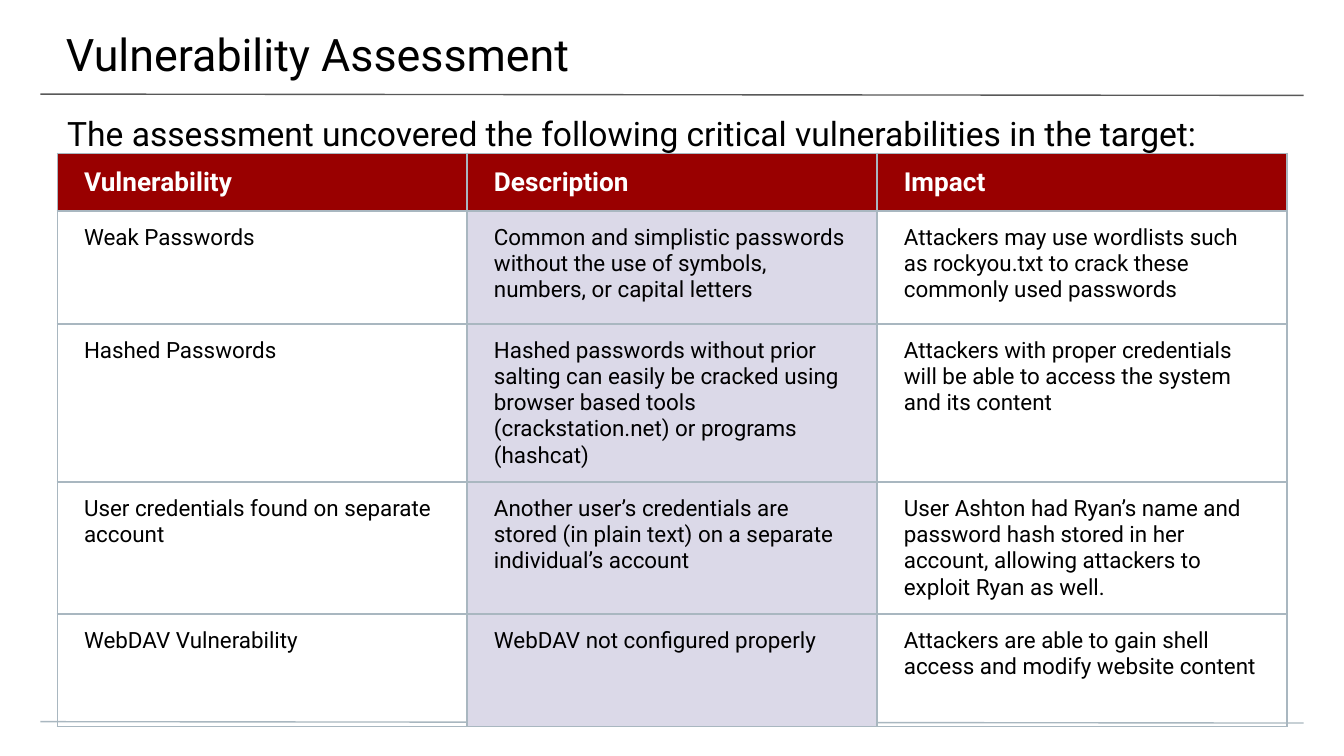
"""Build the vulnerability assessment slide."""
from dataclasses import dataclass

from lxml.etree import SubElement
from pptx import Presentation
from pptx.dml.color import RGBColor as Rgb
from pptx.enum.shapes import MSO_CONNECTOR as Link
from pptx.enum.text import MSO_ANCHOR as Anchor, MSO_AUTO_SIZE as Fit, PP_ALIGN as Align
from pptx.oxml import parse_xml
from pptx.oxml.ns import nsdecls, qn
from pptx.util import Pt


@dataclass(frozen=True)
class Theme:
    font: str = "Roboto"
    ink: str = "000000"
    pale: str = "FFFFFF"
    head: str = "990000"
    tint: str = "DBD9E8"
    rule: str = "595959"
    grid: str = "A9B7C0"
    title: int = 24
    lead: int = 18
    label: int = 14
    body: int = 12
    line: float = 0.75


THEME = Theme()
SCALE = 4572
PAD = (40, 20, 40, 20)
COL = 610
ROWS = [86, 168, 168, 168, 168]
DATA = [
    ("Vulnerability", "Description", "Impact"),
    ("Weak Passwords",
     "Common and simplistic passwords without the use of symbols, numbers, or capital letters",
     "Attackers may use wordlists such as rockyou.txt to crack these commonly used passwords"),
    ("Hashed Passwords",
     "Hashed passwords without prior salting can easily be cracked using browser based tools "
     "(crackstation.net) or programs (hashcat)",
     "Attackers with proper credentials will be able to access the system and its content"),
    ("User credentials found on separate account",
     "Another user’s credentials are stored (in plain text) on a separate individual’s account",
     "User Ashton had Ryan’s name and password hash stored in her account, "
     "allowing attackers to exploit Ryan as well."),
    ("WebDAV Vulnerability",
     "WebDAV not configured properly",
     "Attackers are able to gain shell access and modify website content"),
]


def px(*vals):
    return [val * SCALE for val in vals]


def style(para, size, color, bold=False):
    para.alignment = Align.LEFT
    para.space_before = Pt(0)
    font = para.font
    font.name, font.size, font.bold = THEME.font, Pt(size), bold
    font.color.rgb = Rgb.from_string(color)


def inset(item, pad):
    (item.margin_left, item.margin_top,
     item.margin_right, item.margin_bottom) = px(*pad)


def fill_text(shape, text, box, pad, size):
    shape.left, shape.top, shape.width, shape.height = px(*box)
    frame = shape.text_frame
    frame.text = text
    frame.word_wrap, frame.auto_size = True, Fit.NONE
    frame.vertical_anchor = Anchor.TOP
    inset(frame, pad)
    style(frame.paragraphs[0], size, THEME.ink)


def add_rule(slide, top, color):
    rule = slide.shapes.add_connector(Link.STRAIGHT, *px(60, top, 1940, top + 2))
    rule.line.width = Pt(THEME.line)
    rule.line.color.rgb = Rgb.from_string(color)
    SubElement(rule.element.spPr, qn("a:effectLst"))


def add_edges(cell):
    props = cell._tc.get_or_add_tcPr()
    for side in ("lnL", "lnR", "lnT", "lnB"):
        props.append(parse_xml(
            f'<a:{side} {nsdecls("a")} w="{Pt(THEME.line)}"><a:solidFill>'
            f'<a:srgbClr val="{THEME.grid}"/></a:solidFill></a:{side}>'))


def fill_cell(cell, text, head, color):
    cell.text = text
    inset(cell, PAD)
    cell.vertical_anchor = Anchor.MIDDLE if head else Anchor.TOP
    size, ink = (THEME.label, THEME.pale) if head else (THEME.body, THEME.ink)
    style(cell.text_frame.paragraphs[0], size, ink, head)
    add_edges(cell)
    if color:
        cell.fill.solid()
        cell.fill.fore_color.rgb = Rgb.from_string(color)
    else:
        cell.fill.background()


def add_grid(slide):
    count = len(DATA[0])
    frame = slide.shapes.add_table(
        len(DATA), count, *px(85, 228, COL * count, sum(ROWS)))
    table = frame.table
    table.horz_banding = False
    for col in table.columns:
        col.width = COL * SCALE
    for i, texts in enumerate(DATA):
        table.rows[i].height = ROWS[i] * SCALE
        for j, text in enumerate(texts):
            color = THEME.head if i == 0 else THEME.tint if j == 1 else None
            fill_cell(table.cell(i, j), text, i == 0, color)


def main():
    deck = Presentation()
    deck.slide_width, deck.slide_height = px(2000, 1125)
    slide = deck.slides.add_slide(deck.slide_layouts[0])
    add_rule(slide, 140, THEME.rule)
    add_rule(slide, 1074, THEME.grid)
    title, lead = slide.placeholders
    fill_text(title, "Vulnerability Assessment",
              (-2, 0, 2006, 116), (100, 40, 60, 20), THEME.title)
    fill_text(lead, "The assessment uncovered the following critical vulnerabilities in the target:",
              (0, 148, 2000, 80), (100, 20, 100, 0), THEME.lead)
    add_grid(slide)
    deck.save("out.pptx")


if __name__ == "__main__":
    main()
